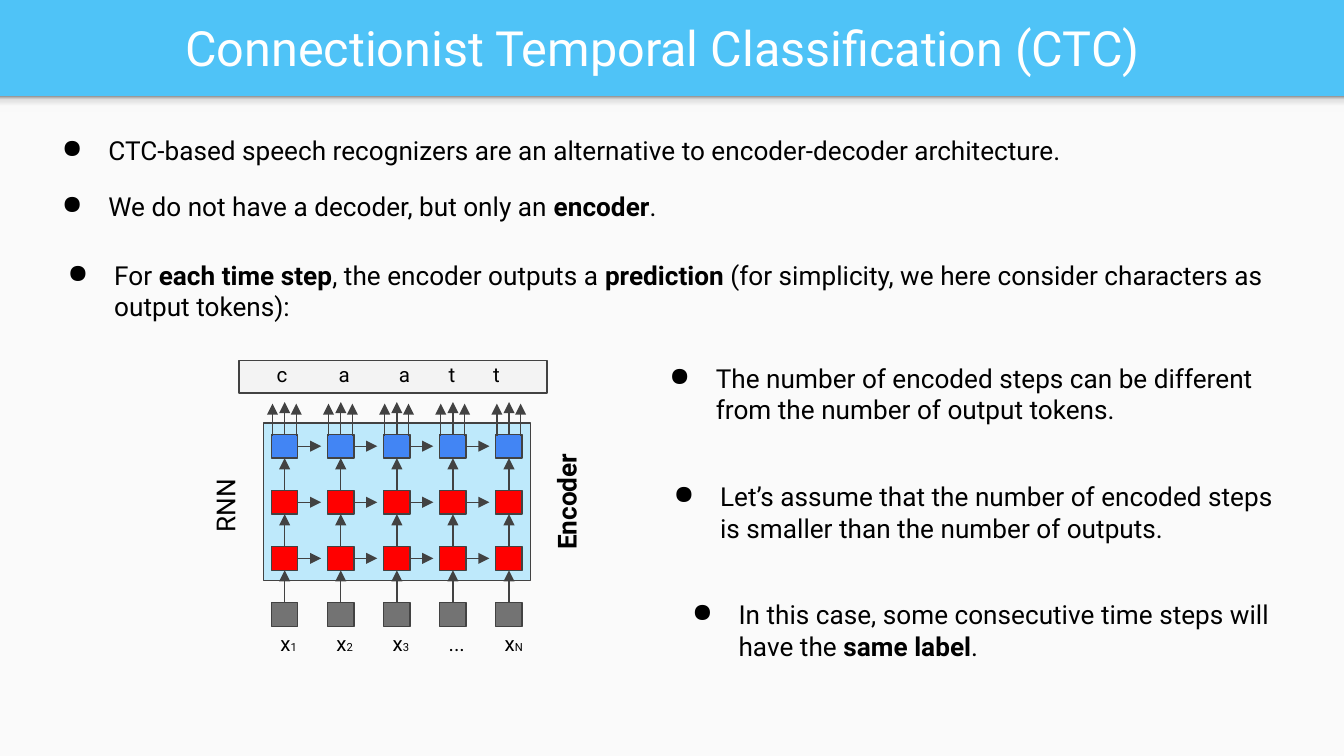
import copy
import dataclasses

import pptx
import pptx.dml.color
import pptx.enum.shapes
import pptx.enum.text
import pptx.oxml.ns
import pptx.oxml.xmlchemy
import pptx.util
from lxml import etree

Cm = pptx.util.Cm
Pt = pptx.util.Pt
qn = pptx.oxml.ns.qn
ALIGN = pptx.enum.text.PP_ALIGN
ANCHOR = pptx.enum.text.MSO_ANCHOR


@dataclasses.dataclass(frozen=True)
class Theme:
    font: str = "Roboto"
    header: str = "4FC3F7"
    paper: str = "FAFAFA"
    title_ink: str = "FFFFFF"
    ink: str = "000000"
    line: str = "424242"
    strip: str = "F3F3F3"
    frame: str = "00B6FF"
    top_cell: str = "4285F4"
    hidden_cell: str = "FF0000"
    input_cell: str = "737373"
    title_size: float = 26
    body_size: float = 14
    label_size: float = 11
    index_size: float = 6
    line_width: float = 0.75
    shadow: tuple = ((0, "F9F9F9"), (0.36, "F9F9F9"), (0.8, "DEDEDE"), (1, "999999"))


THEME = Theme()


def rgb(value):
    return pptx.dml.color.RGBColor.from_string(value)


def write_text(shape, spans, *, size=THEME.body_size, color=THEME.ink, bold=False,
               align=ALIGN.LEFT, anchor=ANCHOR.TOP, bullet=False):
    """Fill a shape with one paragraph; a span is (text, own format)."""
    frame = shape.text_frame
    frame.word_wrap = True
    frame.auto_size = pptx.enum.text.MSO_AUTO_SIZE.NONE
    frame.vertical_anchor = anchor
    frame.margin_left = frame.margin_right = Cm(0.25)
    frame.margin_top = frame.margin_bottom = Cm(0.25)
    para = frame.paragraphs[0]
    para.alignment = align
    for text, own in spans:
        span = para.add_run()
        span.text = text
        span.font.name = THEME.font
        span.font.size = Pt(own.get("size", size))
        span.font.bold = own.get("bold", bold)
        span.font.color.rgb = rgb(color)
    if bullet:
        properties = para._p.get_or_add_pPr()
        properties.set("marL", str(Cm(1.27)))
        properties.set("indent", str(Cm(-0.88)))
        etree.SubElement(properties, qn("a:buChar")).set("char", "●")


def add_text(page, box, spans, *, rotation=0, **text_format):
    shape = page.shapes.add_textbox(*(Cm(length) for length in box))
    shape.rotation = rotation
    write_text(shape, spans, **text_format)


def add_box(page, box, color, *, outlined=True, alpha=None):
    shape = page.shapes.add_shape(pptx.enum.shapes.MSO_SHAPE.RECTANGLE,
                                  *(Cm(length) for length in box))
    shape.shadow.inherit = False
    shape.fill.solid()
    shape.fill.fore_color.rgb = rgb(color)
    if alpha is not None:
        tint = shape._element.spPr.find(qn("a:solidFill")).find(qn("a:srgbClr"))
        etree.SubElement(tint, qn("a:alpha")).set("val", str(alpha * 1000))
    if outlined:
        shape.line.color.rgb = rgb(THEME.line)
        shape.line.width = Pt(THEME.line_width)
    else:
        shape.line.fill.background()
    return shape


def add_arrow(page, x, y, dx, dy):
    arrow = page.shapes.add_connector(pptx.enum.shapes.MSO_CONNECTOR.STRAIGHT,
                                      Cm(x), Cm(y), Cm(x + dx), Cm(y + dy))
    arrow.line.color.rgb = rgb(THEME.line)
    arrow.line.width = Pt(THEME.line_width)
    outline = arrow.line._get_or_add_ln()
    etree.SubElement(outline, qn("a:tailEnd")).set("type", "triangle")
    etree.SubElement(arrow._element.spPr, qn("a:effectLst"))


def build_backdrop(page, box):
    """Header colour, paper below it, and the soft edge between them."""
    left, top, width, height = box
    page.background.fill.solid()
    page.background.fill.fore_color.rgb = rgb(THEME.header)
    add_box(page, box, THEME.paper, outlined=False)
    edge = add_box(page, (left, top, width, 0.3), THEME.paper, outlined=False)
    edge.fill.gradient()
    edge.fill.gradient_angle = 90
    stops = next(edge._element.spPr.iter(qn("a:gsLst")))
    while len(stops) < len(THEME.shadow):
        stops.append(copy.deepcopy(stops[0]))
    for stop, (position, color) in zip(edge.fill.gradient_stops, THEME.shadow):
        stop.position = position
        stop.color.rgb = rgb(color)


def build_title(page, box, text):
    title = page.shapes.title
    title.left, title.top, title.width, title.height = (Cm(length) for length in box)
    write_text(title, [(text, {})], size=THEME.title_size, color=THEME.title_ink,
               align=ALIGN.CENTER, anchor=ANCHOR.MIDDLE)


def build_bullets(page, box, items):
    """Each item is its offset in the box and its spans."""
    left, top, width, height = box
    for dx, dy, spans in items:
        add_text(page, (left + dx, top + dy, width, height), spans, bullet=True)


def build_encoder(page, box):
    """Input cells, a three-layer recurrent encoder and its output letters."""
    left, top, width, height = box
    pitch, cell_width, cell_height = 1.06, 0.5, 0.45
    gap = pitch - cell_height
    first_x, first_y = left + 0.61, top + 1.4
    layers = (THEME.top_cell, THEME.hidden_cell, THEME.hidden_cell, THEME.input_cell)
    indices = ("1", "2", "3", None, "N")

    # Output strip and encoder frame
    add_box(page, (left, top, width, 0.62), THEME.strip)
    add_box(page, (left + 0.46, top + 1.19, 5.05, 2.97), THEME.frame, alpha=24)

    # Cells with arrows up and to the right
    for row, color in enumerate(layers):
        y = first_y + row * pitch
        for column in range(len(indices)):
            x = first_x + column * pitch
            add_box(page, (x, y, cell_width, cell_height), color)
            offsets = (-0.23, 0, 0.22) if row == 0 else (0,)
            for offset in offsets:
                start = y + 0.03 if offset else y
                add_arrow(page, x + cell_width / 2 + offset, start, 0, -gap)
            if color != THEME.input_cell and column < len(indices) - 1:
                add_arrow(page, x + cell_width, y + cell_height / 2, 0.44, 0)

    # Input names
    for column, index in enumerate(indices):
        spans = [("x", {}), (index, {"size": THEME.index_size})] if index else [("...", {})]
        add_text(page, (left + 0.53 + column * pitch, top + height - 1, 0.95, 1),
                 spans, size=THEME.label_size)

    # Output letters
    for letter, dx in zip("caatt", (0.46, 1.63, 2.77, 3.71, 4.55)):
        add_text(page, (left + dx, top - 0.21, 1.2, 1), [(letter, {})],
                 size=THEME.label_size)

    # Side captions
    add_text(page, (left - 1.07, top + 2.13, 1.63, 1.12), [("RNN", {})], rotation=270)
    add_text(page, (left + 4.95, top + 2.03, 2.49, 1.12), [("Encoder", {})],
             rotation=270, bold=True)


def main():
    deck = pptx.Presentation()
    deck.slide_width, deck.slide_height = Cm(25.4), Cm(14.29)
    page = deck.slides.add_slide(deck.slide_layouts[5])
    strong = {"bold": True}

    build_backdrop(page, (0, 1.82, 25.4, 12.47))
    build_title(page, (0.28, 0.05, 24.5, 1.68), "Connectionist Temporal Classification (CTC)")
    build_bullets(page, (0.53, 2.29, 24.26, 1.12), [
        (0, 0, [("CTC-based speech recognizers are an alternative to "
                 "encoder-decoder architecture.", {})]),
        (0, 1.06, [("We do not have a decoder, but only an ", {}),
                   ("encoder", strong), (".", {})]),
        (0.11, 2.36, [("For ", {}), ("each time step", strong),
                      (", the encoder outputs a ", {}), ("prediction", strong),
                      (" (for simplicity, we here consider characters as "
                       "output tokens):", {})]),
    ])
    build_encoder(page, (4.52, 6.81, 5.82, 5.87))
    build_bullets(page, (12.01, 6.6, 12.27, 1.7), [
        (0, 0, [("The number of encoded steps can be different from the number "
                 "of output tokens.", {})]),
        (0.08, 2.24, [("Let’s assume that the number of encoded steps is smaller "
                       "than the number of outputs.", {})]),
        (0.43, 4.47, [("In this case, some consecutive time steps will have the ", {}),
                      ("same label", strong), (".", {})]),
    ])
    deck.save("out.pptx")


if __name__ == "__main__":
    main()
